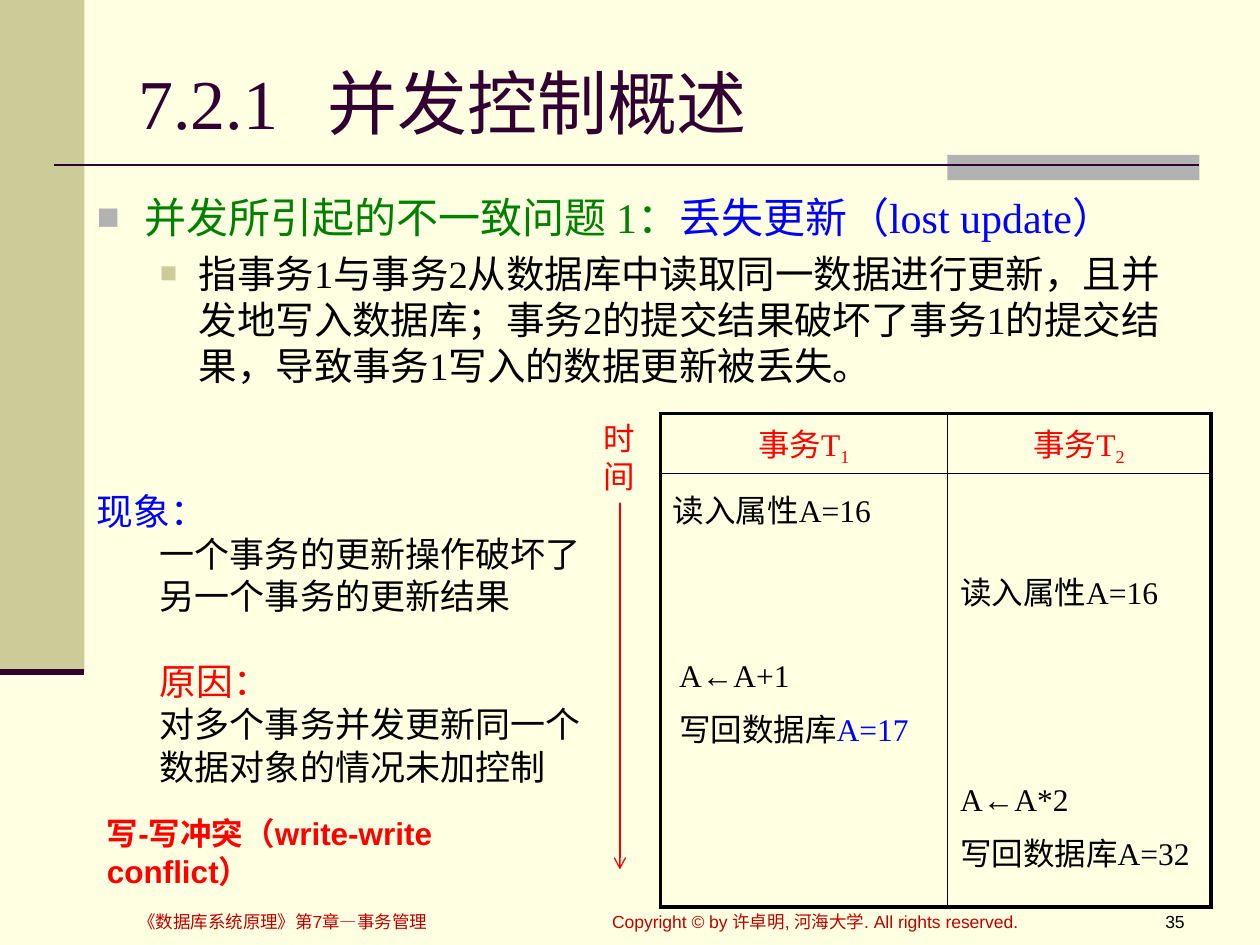
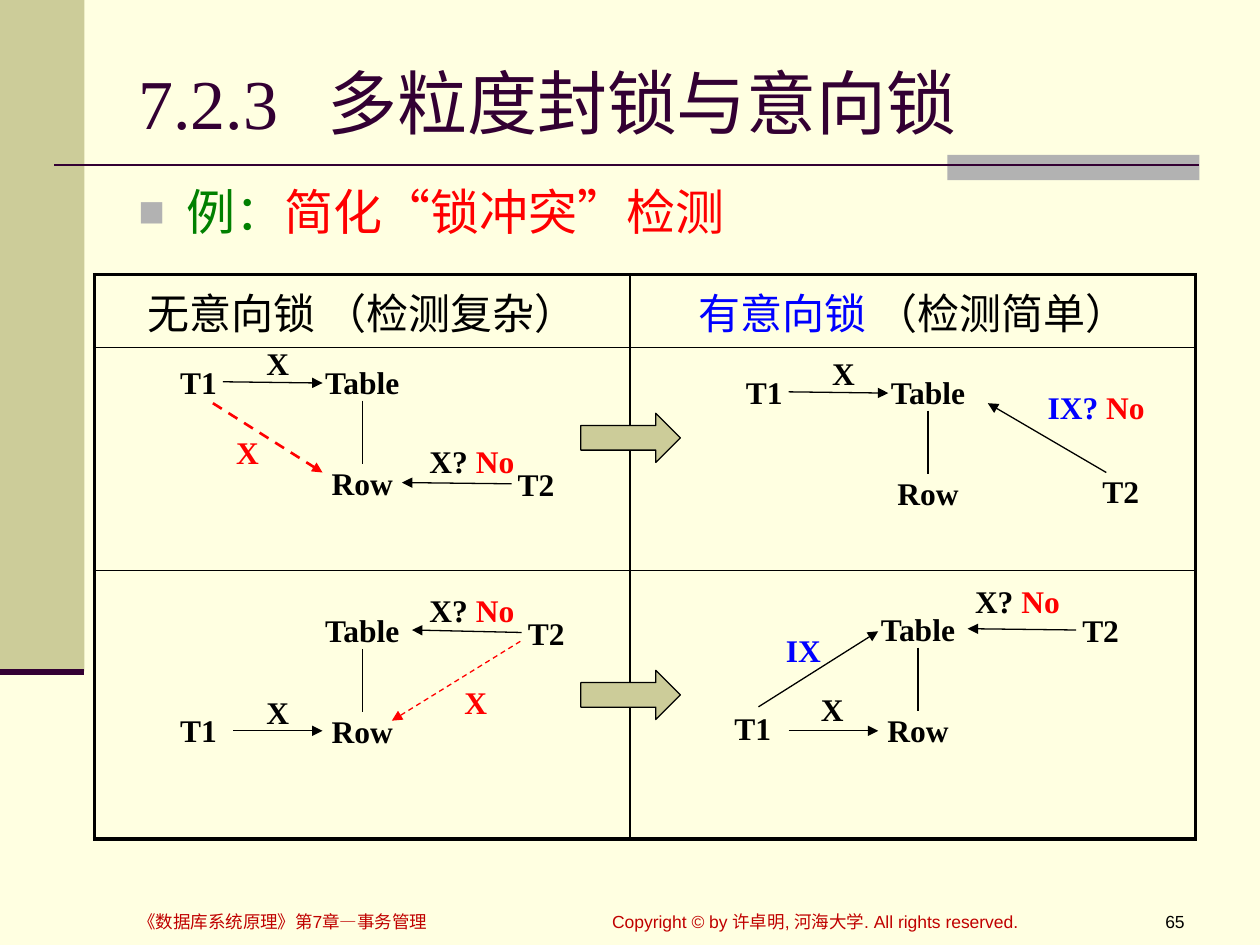
from dataclasses import dataclass

from lxml import etree
from pptx import Presentation
from pptx.dml.color import RGBColor
from pptx.enum.dml import MSO_LINE
from pptx.enum.shapes import MSO_CONNECTOR, MSO_SHAPE
from pptx.enum.text import MSO_ANCHOR, PP_ALIGN
from pptx.oxml.ns import qn
from pptx.util import Inches, Pt

RECT, ARROW = MSO_SHAPE.RECTANGLE, MSO_SHAPE.RIGHT_ARROW
LINE, DASH = MSO_CONNECTOR.STRAIGHT, MSO_LINE.DASH
TOP, MIDDLE = MSO_ANCHOR.TOP, MSO_ANCHOR.MIDDLE
LEFT, CENTER, RIGHT = PP_ALIGN.LEFT, PP_ALIGN.CENTER, PP_ALIGN.RIGHT
NORTH, WEST, SOUTH, EAST = range(4)

HUES = {
    "cream": "FFFFE1", "khaki": "CCCC99", "gray": "B2B2B2", "plum": "330033",
    "wine": "C00000", "black": "000000", "red": "FF0000", "blue": "0000FF",
    "green": "008000", "scarlet": "F90000",
}
SERIF, SANS, ROUND, HAN = "Times New Roman", "Arial", "Cabin", "Noto Sans CJK SC"
PAD = (0.1, 0.05, 0.1, 0.05)


@dataclass
class Run:
    text: str
    hue: str = "black"
    base: int = 0
    font: str = ""


@dataclass
class Para:
    runs: list
    size: float = 18
    font: str = SERIF
    bold: bool = False
    align: int = LEFT
    before: float = 0
    left: float = 0
    hang: float = 0
    mark: tuple = ()
    tab: float = 0


def color(name):
    return RGBColor.from_string(HUES[name])


def child(parent, tag, **attrs):
    return etree.SubElement(parent, qn(tag), {key: str(val) for key, val in attrs.items()})


def tint(parent, hue):
    child(parent, "a:srgbClr", val=HUES[hue])


def write(frame, paras, pad=PAD, anchor=TOP, wrap=True):
    frame.word_wrap = wrap
    frame.vertical_anchor = anchor
    (frame.margin_left, frame.margin_top,
     frame.margin_right, frame.margin_bottom) = map(Inches, pad)
    fill_text(frame, paras)


def fill_text(frame, paras):
    for index, item in enumerate(paras):
        para = frame.add_paragraph() if index else frame.paragraphs[0]
        props = para._p.get_or_add_pPr()
        props.set("marL", str(Inches(item.left)))
        props.set("indent", str(Inches(-item.hang)))
        if item.mark:
            hue, scale = item.mark
            tint(child(props, "a:buClr"), hue)
            child(props, "a:buSzPct", val=scale * 1000)
            child(props, "a:buFont", typeface=SANS)
            child(props, "a:buChar", char="■")
        if item.tab:
            child(child(props, "a:tabLst"), "a:tab", pos=Inches(item.tab), algn="l")
        para.alignment = item.align
        if item.before:
            para.space_before = Pt(item.before)
        for part in item.runs:
            run = para.add_run()
            run.text = part.text
            font = run.font
            font.name = part.font or item.font
            font.size, font.bold = Pt(item.size), item.bold
            font.color.rgb = color(part.hue)
            if part.base:
                run._r.get_or_add_rPr().set("baseline", str(part.base * 1000))


def add_text(slide, box, paras, **style):
    shape = slide.shapes.add_textbox(*map(Inches, box))
    write(shape.text_frame, paras, **style)
    return shape


def add_block(slide, kind, box, fill, edge=None):
    shape = slide.shapes.add_shape(kind, *map(Inches, box))
    shape.shadow.inherit = False
    shape.fill.solid()
    shape.fill.fore_color.rgb = color(fill)
    if edge:
        shape.line.color.rgb = color(edge)
        shape.line.width = Pt(0.75)
    else:
        shape.line.fill.background()
    return shape


def add_line(slide, start, end, hue="black", width=0.75, head=None, dash=None):
    points = [(0, 0) if hasattr(at[0], "left") else at for at in (start, end)]
    line = slide.shapes.add_connector(LINE, *[Inches(n) for at in points for n in at])
    for at, join in ((start, line.begin_connect), (end, line.end_connect)):
        if hasattr(at[0], "left"):
            join(*at)
    line.line.color.rgb = color(hue)
    line.line.width = Pt(width)
    if dash:
        line.line.dash_style = dash
    if head:
        child(line.line._get_or_add_ln(), "a:tailEnd", type=head)
    child(line._element.spPr, "a:effectLst")


def add_grid(slide, left, top, cols, rows):
    box = (left, top, sum(cols), sum(rows))
    table = slide.shapes.add_table(len(rows), len(cols), *map(Inches, box)).table
    for col, width in zip(table.columns, cols):
        col.width = Inches(width)
    for row, height in zip(table.rows, rows):
        row.height = Inches(height)
    for r in range(len(rows)):
        for c in range(len(cols)):
            cell = table.cell(r, c)
            outer = {"L": c == 0, "R": c == len(cols) - 1,
                     "T": r == 0, "B": r == len(rows) - 1}
            props = cell._tc.get_or_add_tcPr()
            for side, edge in outer.items():
                rule = child(props, "a:ln" + side, w=Pt(2.25 if edge else 1))
                tint(child(rule, "a:solidFill"), "black")
            cell.fill.solid()
            cell.fill.fore_color.rgb = color("cream")
    return table


def fill_cell(cell, paras, pad=PAD, anchor=TOP):
    cell.vertical_anchor = anchor
    (cell.margin_left, cell.margin_top,
     cell.margin_right, cell.margin_bottom) = map(Inches, pad)
    fill_text(cell.text_frame, paras)


def add_frame(deck, number, title, page):
    slide = deck.slides.add_slide(deck.slide_layouts[6])
    slide.background.fill.solid()
    slide.background.fill.fore_color.rgb = color("cream")
    add_block(slide, RECT, (0, 0, 0.67, 5.33), "khaki")
    add_block(slide, RECT, (7.52, 1.23, 2, 0.2), "gray")
    add_line(slide, (0.43, 1.31), (9.52, 1.31), "plum", 1.5)
    add_line(slide, (0, 5.33), (0.67, 5.33), "plum", 3.5)
    for left, width, text, hue, align in (
        (4.76, 3.94, "Copyright © by 许卓明, 河海大学. All rights reserved.", "wine", LEFT),
        (1, 3.69, "《数据库系统原理》第7章—事务管理", "wine", LEFT),
        (8.78, 0.72, page, "black", RIGHT),
    ):
        add_text(slide, (left, 7.18, width, 0.27),
                 [Para([Run(text, hue)], 10, SANS, align=align)])
    add_text(slide, (1, 0.3, 8.5, 1.01),
             [Para([Run(f"{number}\t{title}", "plum")], 40, tab=1.53)], anchor=MIDDLE)
    return slide


def add_node(slide, left, top, *runs, width=0.39):
    return add_text(slide, (left, top, width, 0.3),
                    [Para(list(runs), bold=True, align=CENTER)],
                    pad=(0, 0, 0, 0), anchor=MIDDLE)


def add_pair(slide, left, top, gap=0.8):
    table = add_node(slide, left, top, Run("Table"), width=0.79)
    row = add_node(slide, left, top + gap, Run("Row"), width=0.79)
    add_line(slide, (table, SOUTH), (row, NORTH))
    return table, row


def add_query(slide, left, top, text="X? ", hue="black", width=0.79):
    add_node(slide, left, top, Run(text, hue), Run("No", "red"), width=width)


def add_arrow(slide, start, end, **style):
    add_line(slide, start, end, head="triangle", **style)


def lost_update(deck):
    slide = add_frame(deck, "7.2.1", "并发控制概述", "35")
    add_text(slide, (0.67, 1.47, 8.82, 5.51), [
        Para([Run("并发所引起的不一致问题 1：", "green"),
              Run("丢失更新（lost update）", "blue")],
             24, left=0.38, hang=0.38, mark=("gray", 90)),
        Para([Run("指事务1与事务2从数据库中读取同一数据进行更新，且并发地写入数据库；"
                  "事务2的提交结果破坏了事务1的提交结果，导致事务1写入的数据更新被丢失。")],
             22, before=4.4, left=0.81, hang=0.31, mark=("khaki", 75)),
    ])
    table = add_grid(slide, 5.24, 3.28, (2.28, 2.09), (0.48, 3.44))
    for c in (0, 1):
        fill_cell(table.cell(0, c), [
            Para([Run("事务T", "red"), Run(str(c + 1), "red", -25)], align=CENTER),
        ], anchor=MIDDLE)
    fill_cell(table.cell(1, 0), [
        Para([Run("读入属性A=16")]),
        Para([Run("A←A+1")], before=73, left=0.05),
        Para([Run("写回数据库"), Run("A=17", "blue")], before=6, left=0.05),
    ], pad=(0.1, 0.1, 0.1, 0.02))
    fill_cell(table.cell(1, 1), [
        Para([Run("读入属性A=16")]),
        Para([Run("A←A*2")], before=97),
        Para([Run("写回数据库A=32")], before=6),
    ], pad=(0.1, 0.75, 0.1, 0.02))
    add_text(slide, (0.67, 3.83, 4.25, 2.47), [
        Para([Run("现象：", "blue")], 21, ROUND),
        Para([Run("一个事务的更新操作破坏了另一个事务的更新结果")], 20, ROUND, left=0.5),
        Para([Run("原因：", "red")], 21, ROUND, before=24, left=0.5),
        Para([Run("对多个事务并发更新同一个数据对象的情况未加控制")], 20, ROUND, left=0.5),
    ])
    add_line(slide, (4.92, 3.36), (4.92, 6.9), "scarlet", head="arrow")
    label = add_block(slide, RECT, (4.69, 3.28, 0.45, 0.71), "cream")
    write(label.text_frame, [Para([Run(text, "red")], font=SANS) for text in "时间"],
          wrap=False)
    add_text(slide, (0.75, 6.41, 3.76, 0.4),
             [Para([Run("写-写冲突（write-write conflict）", "red")], 18, SANS, bold=True)])


def lock_check(deck):
    slide = add_frame(deck, "7.2.3", "多粒度封锁与意向锁", "65")
    add_text(slide, (1, 1.39, 8.5, 5.67), [
        Para([Run("例：", "green", font=SANS), Run("简化“锁冲突”检测", "red")],
             28, left=0.38, hang=0.38, mark=("gray", 90)),
    ])
    table = add_grid(slide, 0.75, 2.18, (4.25, 4.49), (0.58, 1.77, 2.13))
    heads = ([Run("无意向锁 （检测复杂）")],
             [Run("有意向锁", "blue"), Run(" （检测简单）")])
    for c, runs in enumerate(heads):
        fill_cell(table.cell(0, c), [Para(runs, 24, HAN, align=CENTER)], anchor=MIDDLE)

    add_pair(slide, 2.48, 2.88)
    first = add_node(slide, 1.38, 2.88, Run("T1"))
    second = add_node(slide, 4.06, 3.69, Run("T2"))
    add_arrow(slide, (first, EAST), (2.56, 3.04))
    add_arrow(slide, (second, WEST), (3.19, 3.83))
    add_arrow(slide, (1.69, 3.2), (2.56, 3.75), hue="red", width=1.5, dash=DASH)
    add_node(slide, 2.01, 2.73, Run("X"))
    add_node(slide, 1.77, 3.44, Run("X", "red"))
    add_query(slide, 3.35, 3.51)

    add_pair(slide, 6.97, 2.96)
    first = add_node(slide, 5.87, 2.96, Run("T1"))
    add_node(slide, 8.7, 3.75, Run("T2"))
    add_arrow(slide, (first, EAST), (7.05, 3.12))
    add_arrow(slide, (8.78, 3.75), (7.84, 3.2))
    add_node(slide, 6.5, 2.81, Run("X"))
    add_query(slide, 8.15, 3.08, "IX? ", "blue", 1.1)

    root, _ = add_pair(slide, 2.48, 4.85)
    add_node(slide, 1.38, 5.64, Run("T1"))
    second = add_node(slide, 4.14, 4.87, Run("T2"))
    add_arrow(slide, (1.85, 5.8), (2.56, 5.8))
    add_arrow(slide, (second, WEST), (root, EAST))
    add_arrow(slide, (4.13, 5.09), (3.11, 5.72), hue="red", dash=DASH)
    add_node(slide, 2.01, 5.5, Run("X"))
    add_node(slide, 3.58, 5.42, Run("X", "red"))
    add_query(slide, 3.35, 4.69)

    root, _ = add_pair(slide, 6.89, 4.84)
    add_node(slide, 5.78, 5.63, Run("T1"))
    second = add_node(slide, 8.54, 4.85, Run("T2"))
    add_arrow(slide, (6.26, 5.8), (6.97, 5.8))
    add_arrow(slide, (6.02, 5.61), (6.97, 5.01))
    add_arrow(slide, (second, WEST), (root, EAST))
    add_node(slide, 6.41, 5.48, Run("X"))
    add_node(slide, 6.18, 5.01, Run("IX", "blue"))
    add_query(slide, 7.68, 4.62)

    for top in (3.28, 5.32):
        add_block(slide, ARROW, (4.61, top, 0.79, 0.39), "khaki", "black")


def main():
    deck = Presentation()
    deck.slide_width, deck.slide_height = Inches(10), Inches(7.5)
    lost_update(deck)
    lock_check(deck)
    deck.save("out.pptx")


if __name__ == "__main__":
    main()
